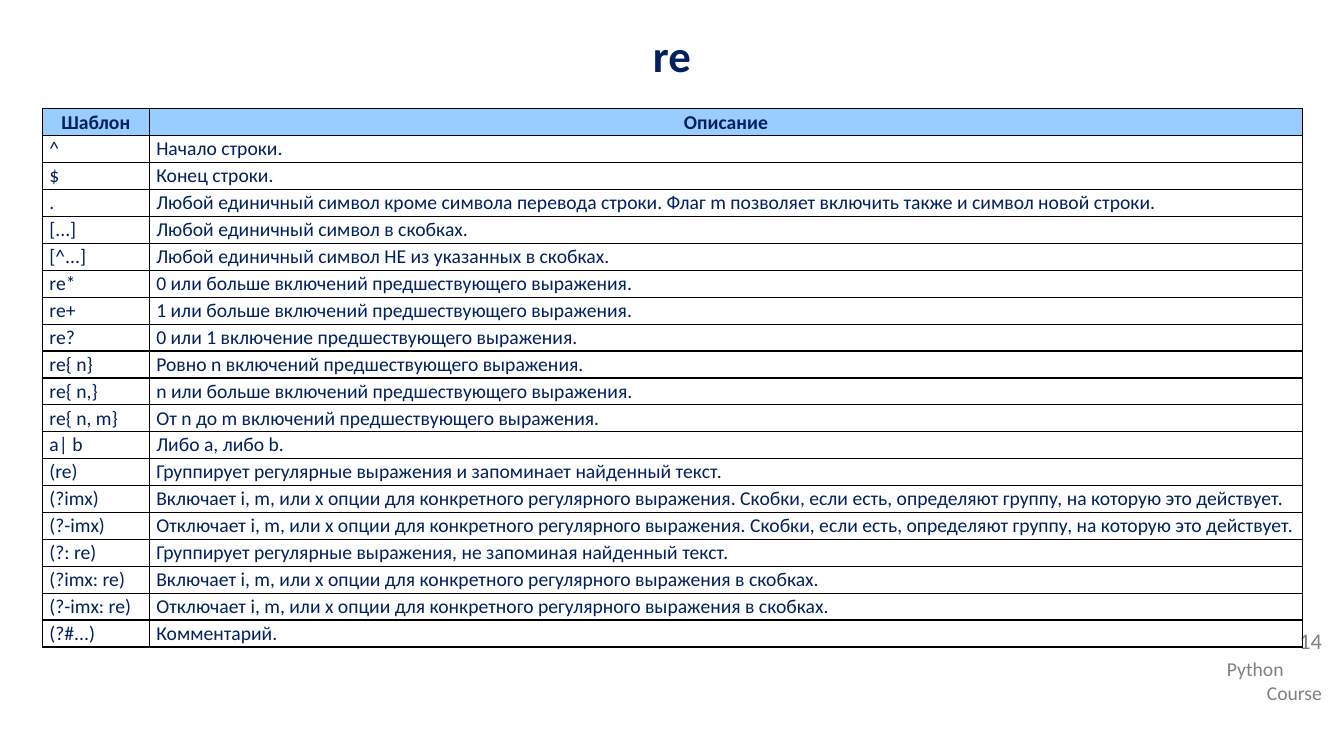
from lxml import etree
from pptx import Presentation
from pptx import util as u
from pptx.dml.color import RGBColor
from pptx.enum import text
from pptx.oxml import ns

COLORS = {"navy": "002060", "gray": "808080", "header": "99CCFF", "border": "000000"}
FONT = "Calibri"
LEFT, CENTER, RIGHT = text.PP_ALIGN.LEFT, text.PP_ALIGN.CENTER, text.PP_ALIGN.RIGHT

HEADERS = ("Шаблон", "Описание")
PATTERNS = [
    ("^", "Начало строки."),
    ("$", "Конец строки."),
    (".", "Любой единичный символ кроме символа перевода строки. "
          "Флаг m позволяет включить также и символ новой строки."),
    ("[...]", "Любой единичный символ в скобках."),
    ("[^...]", "Любой единичный символ НЕ из указанных в скобках."),
    ("re*", "0 или больше включений предшествующего выражения."),
    ("re+", "1 или больше включений предшествующего выражения."),
    ("re?", "0 или 1 включение предшествующего выражения."),
    ("re{ n}", "Ровно n включений предшествующего выражения."),
    ("re{ n,}", "n или больше включений предшествующего выражения."),
    ("re{ n, m}", "От n до m включений предшествующего выражения."),
    ("a| b", "Либо a, либо b."),
    ("(re)", "Группирует регулярные выражения и запоминает найденный текст."),
    ("(?imx)", "Включает i, m, или x опции для конкретного регулярного выражения. "
               "Скобки, если есть, определяют группу, на которую это действует."),
    ("(?-imx)", "Отключает i, m, или x опции для конкретного регулярного выражения. "
                "Скобки, если есть, определяют группу, на которую это действует."),
    ("(?: re)", "Группирует регулярные выражения, не запоминая найденный текст."),
    ("(?imx: re)", "Включает i, m, или x опции для конкретного регулярного выражения в скобках."),
    ("(?-imx: re)", "Отключает i, m, или x опции для конкретного регулярного выражения в скобках."),
    ("(?#...)", "Комментарий."),
]


def write(p, words, size=14, color="navy", bold=False, align=LEFT,
          before=0, after=0, line=None):
    p.alignment = align
    p.space_before, p.space_after = u.Pt(before), u.Pt(after)
    if line:
        p.line_spacing = line
    r = p.add_run()
    r.text = words
    r.font.name, r.font.size, r.font.bold = FONT, u.Pt(size), bold
    r.font.color.rgb = RGBColor.from_string(COLORS[color])


def add_box(s, x, y, w, h):
    tf = s.shapes.add_textbox(*map(u.Inches, (x, y, w, h))).text_frame
    tf.word_wrap = True
    return tf


def add_title(s, x, y, w, h):
    tf = add_box(s, x, y, w, h)
    write(tf.paragraphs[0], "re", size=32, bold=True, align=CENTER, before=5, after=5)


def add_footer(s, x, y, w, h):
    tf = add_box(s, x, y + 0.27, w, h - 0.27)
    write(tf.paragraphs[0], "Python", color="gray")
    write(tf.add_paragraph(), "Course", color="gray", align=RIGHT)
    tf = add_box(s, x, y, w, 0.45)
    write(tf.paragraphs[0], "14", size=16, color="gray", align=RIGHT, before=10, line=0.9)


def add_borders(cell):
    tc_pr = cell._tc.get_or_add_tcPr()
    for i, side in enumerate(("lnL", "lnR", "lnT", "lnB")):
        ln = etree.Element(ns.qn(f"a:{side}"), w=str(u.Pt(1)))
        fill = etree.SubElement(ln, ns.qn("a:solidFill"))
        etree.SubElement(fill, ns.qn("a:srgbClr"), val=COLORS["border"])
        tc_pr.insert(i, ln)


def fill_cell(cell, words, header):
    cell.margin_left = cell.margin_right = u.Inches(0.03)
    cell.margin_top = cell.margin_bottom = u.Inches(0.01)
    cell.vertical_anchor = text.MSO_ANCHOR.MIDDLE
    p = cell.text_frame.paragraphs[0]
    write(p, words, bold=header, align=CENTER if header else LEFT)
    if header:
        cell.fill.solid()
        cell.fill.fore_color.rgb = RGBColor.from_string(COLORS["header"])
    else:
        p._p.get_or_add_pPr().set("marL", str(u.Inches(0.04)))
        cell.fill.background()
    add_borders(cell)


def add_patterns(s, x, y, w, h):
    rows = [HEADERS, *PATTERNS]
    table = s.shapes.add_table(len(rows), 2, *map(u.Inches, (x, y, w, h))).table
    table.first_row = table.horz_banding = False
    pattern_w = 1.06
    for column, width in zip(table.columns, (pattern_w, w - pattern_w)):
        column.width = u.Inches(width)
    for i, row in enumerate(rows):
        table.rows[i].height = u.Inches(h / len(rows))
        for j, words in enumerate(row):
            fill_cell(table.cell(i, j), words, header=i == 0)


def main():
    prs = Presentation()
    prs.slide_width, prs.slide_height = u.Inches(13.33), u.Inches(7.5)
    s = prs.slides.add_slide(prs.slide_layouts[6])
    add_footer(s, 12.07, 6.2, 1.14, 0.84)
    add_title(s, 0, 0.23, 13.33, 0.76)
    add_patterns(s, 0.42, 1.08, 12.5, 5.34)
    prs.save("out.pptx")


if __name__ == "__main__":
    main()
